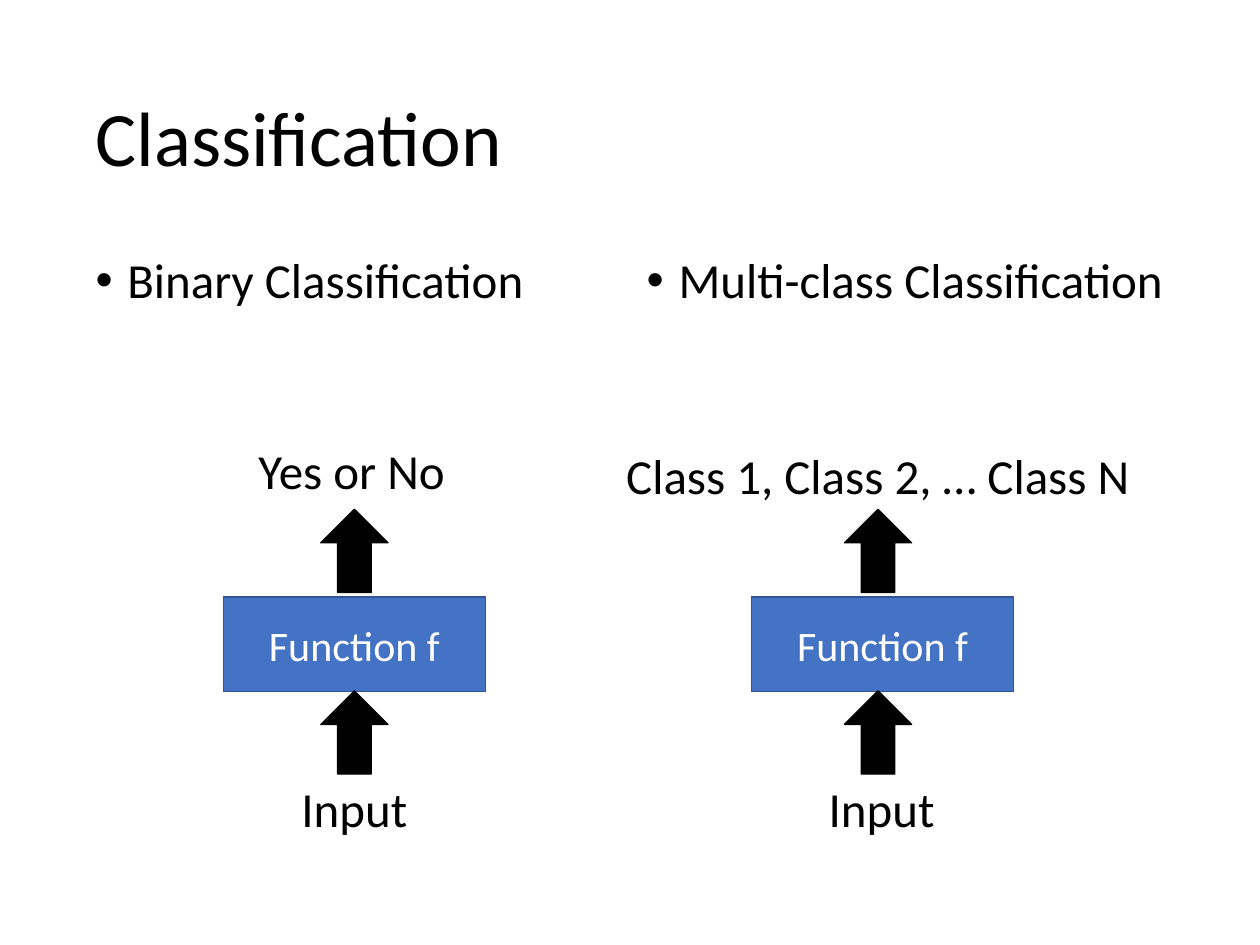
from dataclasses import dataclass

from lxml.etree import SubElement
from pptx import Presentation
from pptx.dml.color import RGBColor
from pptx.enum.shapes import MSO_SHAPE
from pptx.enum.text import MSO_ANCHOR, PP_ALIGN
from pptx.oxml.ns import qn
from pptx.shapes.autoshape import Shape
from pptx.slide import Slide
from pptx.util import Inches, Pt


@dataclass(frozen=True)
class Theme:
    font: str = "Calibri"
    ink: RGBColor = RGBColor(0x00, 0x00, 0x00)
    on_box: RGBColor = RGBColor(0xFF, 0xFF, 0xFF)
    box: RGBColor = RGBColor(0x44, 0x72, 0xC4)
    box_edge: RGBColor = RGBColor(0x32, 0x54, 0x91)
    title_size: float = 62.6
    body_size: float = 39.8
    box_size: float = 34.1


@dataclass(frozen=True)
class Area:
    left: float
    top: float
    width: float
    height: float

    @classmethod
    def centred(cls, middle: float, top: float, width: float, height: float) -> "Area":
        return cls(middle - width / 2, top, width, height)

    def lengths(self) -> tuple[Inches, ...]:
        return tuple(Inches(v) for v in (self.left, self.top, self.width, self.height))


@dataclass(frozen=True)
class Task:
    """One kind of classification: its heading and its flow from input to output."""
    heading: str
    heading_left: float
    output: str
    output_top: float
    output_width: float
    output_middle: float
    arrow_middle: float
    function_middle: float
    input_middle: float


THEME = Theme()
BULLET_INDENT = 0.36
ARROW_TOPS = (7.8, 5.75)
TASKS = (
    Task("Binary Classification", 0.98, "Yes or No", 4.92, 3.01, 3.97, 4.0, 4.0, 4.0),
    Task("Multi-class Classification", 7.2, "Class 1, Class 2, … Class N",
         4.98, 6.12, 9.91, 9.91, 9.96, 9.95),
)


def write(holder: Shape, text: str, *, size: float = THEME.body_size,
          color: RGBColor = THEME.ink, align: PP_ALIGN = PP_ALIGN.LEFT,
          anchor: MSO_ANCHOR = MSO_ANCHOR.TOP, line_spacing: float = 1.0,
          bullet: bool = False) -> None:
    frame = holder.text_frame
    frame.word_wrap = True
    frame.vertical_anchor = anchor
    paragraph = frame.paragraphs[0]
    paragraph.text = text
    paragraph.alignment = align
    paragraph.line_spacing = line_spacing
    if bullet:
        properties = paragraph._p.get_or_add_pPr()
        properties.set("marL", str(Inches(BULLET_INDENT)))
        properties.set("indent", str(-Inches(BULLET_INDENT)))
        SubElement(properties, qn("a:buFont")).set("typeface", "Arial")
        SubElement(properties, qn("a:buChar")).set("char", "•")
    font = paragraph.runs[0].font
    font.name, font.size = THEME.font, Pt(size)
    font.color.rgb = color


def add_label(slide: Slide, area: Area) -> Shape:
    return slide.shapes.add_textbox(*area.lengths())


def add_block(slide: Slide, kind: MSO_SHAPE, area: Area,
              fill: RGBColor, edge: RGBColor) -> Shape:
    block = slide.shapes.add_shape(kind, *area.lengths())
    block.shadow.inherit = False
    block.fill.solid()
    block.fill.fore_color.rgb = fill
    block.line.color.rgb = edge
    block.line.width = Pt(1)
    return block


def draw_task(slide: Slide, task: Task) -> None:
    # Heading
    heading = add_label(slide, Area(task.heading_left, 2.84, 6.04, 6.77))
    write(heading, task.heading, line_spacing=0.9, bullet=True)

    # Function box
    function = add_block(slide, MSO_SHAPE.RECTANGLE,
                         Area.centred(task.function_middle, 6.74, 2.96, 1.07),
                         THEME.box, THEME.box_edge)
    write(function, "Function f", size=THEME.box_size, color=THEME.on_box,
          align=PP_ALIGN.CENTER, anchor=MSO_ANCHOR.MIDDLE)

    # Arrows into and out of the function
    for top in ARROW_TOPS:
        add_block(slide, MSO_SHAPE.UP_ARROW,
                  Area.centred(task.arrow_middle, top, 0.76, 0.94),
                  THEME.ink, THEME.ink)

    # Input and output
    source = add_label(slide, Area.centred(task.input_middle, 8.74, 3.48, 0.77))
    write(source, "Input", align=PP_ALIGN.CENTER)
    result = add_label(slide, Area.centred(task.output_middle, task.output_top,
                                           task.output_width, 0.77))
    write(result, task.output, align=PP_ALIGN.CENTER)


def main() -> None:
    deck = Presentation()
    deck.slide_width, deck.slide_height = Inches(14.22), Inches(10.67)
    slide = deck.slides.add_slide(deck.slide_layouts[6])

    # Title
    title = add_label(slide, Area(0.98, 0.57, 12.27, 2.06))
    write(title, "Classification", size=THEME.title_size,
          anchor=MSO_ANCHOR.MIDDLE, line_spacing=0.9)

    # The two tasks side by side
    for task in TASKS:
        draw_task(slide, task)

    deck.save("out.pptx")


if __name__ == "__main__":
    main()
